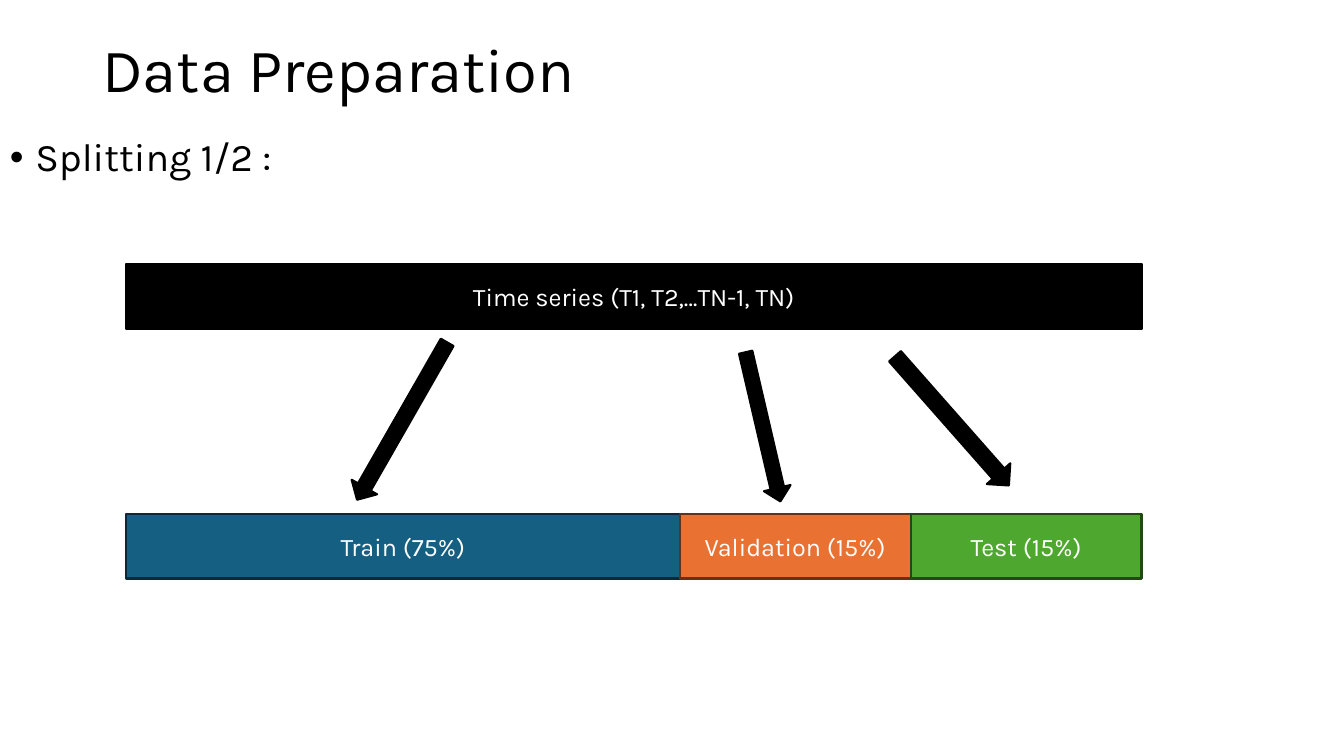
from typing import NamedTuple

from lxml import etree
from pptx import Presentation
from pptx.dml.color import RGBColor
from pptx.enum.shapes import MSO_SHAPE
from pptx.enum.text import MSO_ANCHOR, PP_ALIGN
from pptx.oxml.ns import qn
from pptx.util import Cm, Pt

RECTANGLE = MSO_SHAPE.RECTANGLE
PROCESS = MSO_SHAPE.FLOWCHART_PROCESS
LEFT_ARROW = MSO_SHAPE.LEFT_ARROW
TOP, MIDDLE = MSO_ANCHOR.TOP, MSO_ANCHOR.MIDDLE
CENTER = PP_ALIGN.CENTER

FONT = "Karla"
COLORS = {
    "black": "000000",
    "white": "FFFFFF",
    "train": "156082",
    "train_line": "092A39",
    "validation": "E97132",
    "validation_line": "663216",
    "test": "4EA72E",
    "test_line": "224914",
}

SLIDE_WIDTH, SLIDE_HEIGHT = 33.87, 19.05
BAR_LEFT, BAR_HEIGHT = 3.18, 1.63
SERIES_TOP, SPLIT_TOP = 6.65, 12.95


class Box(NamedTuple):
    """Left, top, width and height in centimetres."""
    left: float
    top: float
    width: float
    height: float


class Split(NamedTuple):
    label: str
    width: float
    fill: str
    line: str


class Arrow(NamedTuple):
    box: Box
    rotation: float


SPLITS = [
    Split("Train (75%)", 13.95, "train", "train_line"),
    Split("Validation (15%)", 5.82, "validation", "validation_line"),
    Split("Test (15%)", 5.82, "test", "test_line"),
]
ARROWS = [
    Arrow(Box(7.85, 10.24, 4.57, 0.74), 299.8),
    Arrow(Box(17.3, 10.41, 3.86, 0.69), 256.9),
    Arrow(Box(21.82, 10.21, 4.34, 0.79), 228.6),
]


def rgb(name: str) -> RGBColor:
    return RGBColor.from_string(COLORS[name])


def add_run(p, text: str, size: float, color: str) -> None:
    r = p.add_run()
    r.text = text
    r.font.name = FONT
    r.font.size = Pt(size)
    r.font.color.rgb = rgb(color)


def add_text(slide, box: Box, text: str, size: float, anchor):
    """Add a wrapped text box and return its paragraph."""
    tf = slide.shapes.add_textbox(*map(Cm, box)).text_frame
    tf.word_wrap = True
    tf.vertical_anchor = anchor
    p = tf.paragraphs[0]
    p.line_spacing = 0.9
    add_run(p, text, size, "black")
    return p


def add_bullet(p, indent: float) -> None:
    pPr = p._p.get_or_add_pPr()
    pPr.set("marL", str(Cm(indent)))
    pPr.set("indent", str(-Cm(indent)))
    etree.SubElement(pPr, qn("a:buFont")).set("typeface", "Arial")
    etree.SubElement(pPr, qn("a:buChar")).set("char", "•")


def add_filled(slide, kind, box: Box, fill: str, line: str):
    sp = slide.shapes.add_shape(kind, *map(Cm, box))
    sp.shadow.inherit = False
    sp.fill.solid()
    sp.fill.fore_color.rgb = rgb(fill)
    sp.line.color.rgb = rgb(line)
    sp.line.width = Pt(1.5)
    return sp


def add_bar(slide, kind, box: Box, label: str, fill: str, line: str) -> None:
    tf = add_filled(slide, kind, box, fill, line).text_frame
    tf.word_wrap = True
    tf.vertical_anchor = MIDDLE
    p = tf.paragraphs[0]
    p.alignment = CENTER
    add_run(p, label, 18, "white")


def main() -> None:
    prs = Presentation()
    prs.slide_width, prs.slide_height = Cm(SLIDE_WIDTH), Cm(SLIDE_HEIGHT)
    slide = prs.slides.add_slide(prs.slide_layouts[6])

    add_text(slide, Box(2.33, 0, 29.21, 3.68), "Data Preparation", 44, MIDDLE)
    p = add_text(slide, Box(0, 3.35, SLIDE_WIDTH, 1.63), "Splitting 1/2 :", 28, TOP)
    p.space_before = Pt(10)
    add_bullet(p, 0.64)

    left = BAR_LEFT
    for split in SPLITS:
        box = Box(left, SPLIT_TOP, split.width, BAR_HEIGHT)
        add_bar(slide, RECTANGLE, box, split.label, split.fill, split.line)
        left += split.width

    series = Box(BAR_LEFT, SERIES_TOP, left - BAR_LEFT, BAR_HEIGHT)
    add_bar(slide, PROCESS, series, "Time series (T1, T2,…TN-1, TN)", "black", "black")

    for arrow in ARROWS:
        sp = add_filled(slide, LEFT_ARROW, arrow.box, "black", "black")
        sp.rotation = arrow.rotation

    prs.save("out.pptx")


if __name__ == "__main__":
    main()
